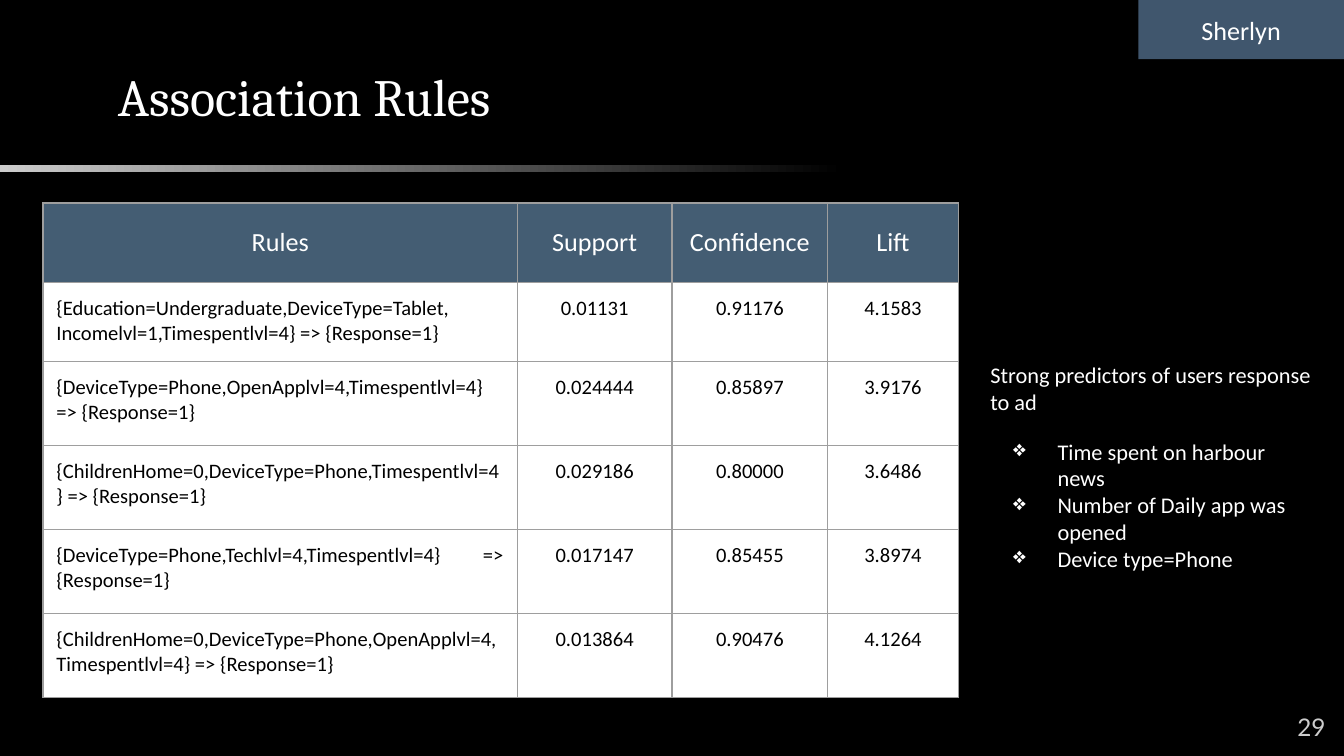
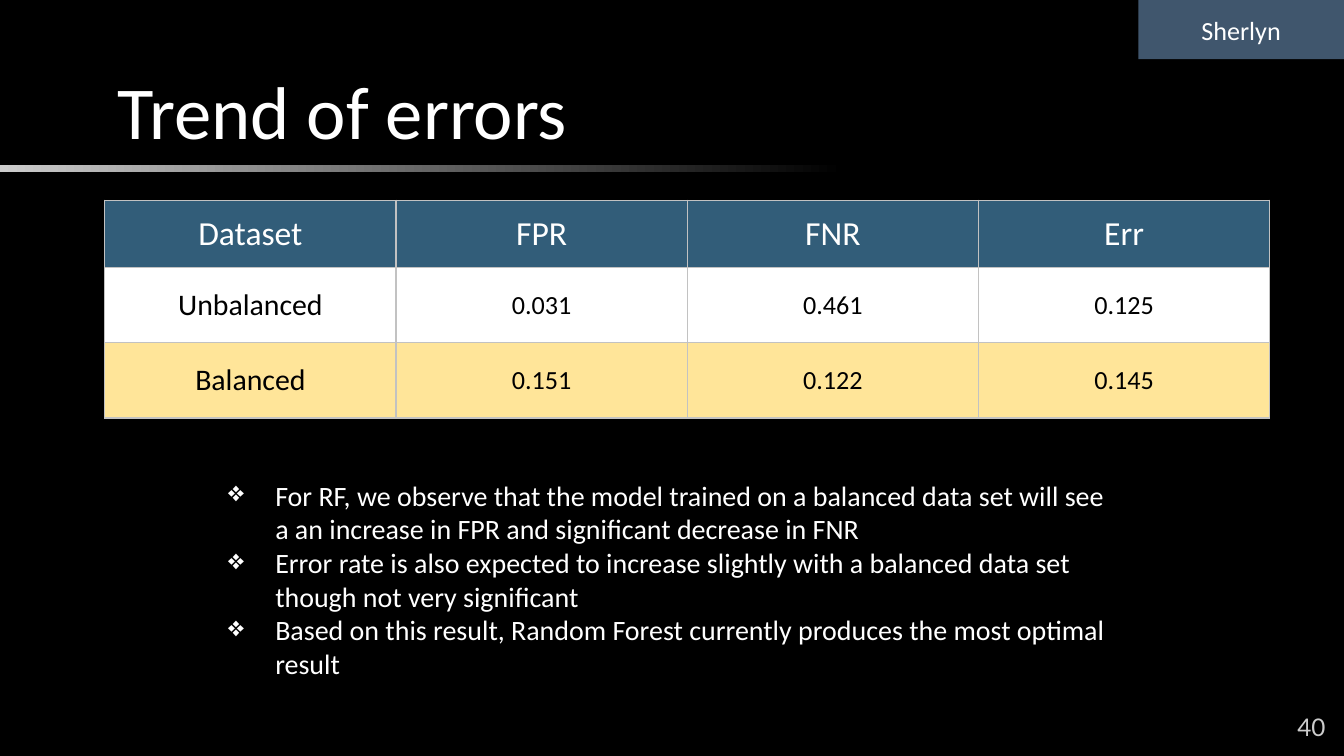
from lxml.etree import SubElement as Sub
from pptx import Presentation
from pptx.dml.color import RGBColor as RGB
from pptx.enum.shapes import MSO_SHAPE as Geo
from pptx.enum.text import MSO_ANCHOR as Anchor, PP_ALIGN as Align
from pptx.oxml.ns import qn
from pptx.util import Inches, Pt

BLACK = RGB(0x00, 0x00, 0x00)
WHITE = RGB(0xFF, 0xFF, 0xFF)
SILVER = RGB(0xCC, 0xCC, 0xCC)
SLATE = RGB(0x40, 0x56, 0x6D)
STEEL = RGB(0x44, 0x5D, 0x73)
TEAL = RGB(0x32, 0x5D, 0x79)
CREAM = RGB(0xFF, 0xE5, 0x99)
GREY = RGB(0x9E, 0x9E, 0x9E)
PALE = RGB(0xC2, 0xC2, 0xC2)

WIDE, HIGH = 100, 56.25
UNIT = Inches(0.1)
BODY = "Calibri"


def span(*cells):
    return [round(n * UNIT) for n in cells]


def write(par, text, size, color=WHITE, font=BODY, align=Align.LEFT):
    par.alignment = align
    run = par.add_run()
    run.text = text
    run.font.size = Pt(size)
    run.font.name = font
    run.font.color.rgb = color


def inset(frame, anchor):
    frame.word_wrap = True
    frame.vertical_anchor = anchor
    frame.margin_left = frame.margin_right = UNIT
    frame.margin_top = frame.margin_bottom = UNIT


def textbox(slide, place, anchor=Anchor.TOP):
    frame = slide.shapes.add_textbox(*span(*place)).text_frame
    inset(frame, anchor)
    return frame


def block(slide, place):
    shape = slide.shapes.add_shape(Geo.RECTANGLE, *span(*place))
    shape.shadow.inherit = False
    shape.line.fill.background()
    return shape


def bullet(par, text, size, hang):
    props = par._p.get_or_add_pPr()
    props.set("marL", str(Inches(0.5)))
    props.set("indent", str(-Inches(hang)))
    tint = Sub(props, qn("a:buClr"))
    Sub(tint, qn("a:srgbClr")).set("val", str(WHITE))
    Sub(props, qn("a:buChar")).set("char", "❖")
    write(par, text, size)


def border(cell, color):
    props = cell._tc.get_or_add_tcPr()
    for side in ("L", "R", "T", "B"):
        line = Sub(props, qn("a:ln" + side))
        line.set("w", str(Pt(0.75)))
        fill = Sub(line, qn("a:solidFill"))
        Sub(fill, qn("a:srgbClr")).set("val", str(color))


def fill_cell(cell, text, size, color, fill, line, align, anchor):
    cell.margin_left = cell.margin_right = UNIT
    cell.margin_top = cell.margin_bottom = UNIT
    cell.vertical_anchor = anchor
    border(cell, line)
    cell.fill.solid()
    cell.fill.fore_color.rgb = fill
    write(cell.text_frame.paragraphs[0], text, size, color, align=align)


def add_grid(slide, left, top, cols, rows, data, fills, line, sizes, first, anchor):
    place = span(left, top, sum(cols), sum(rows))
    table = slide.shapes.add_table(len(rows), len(cols), *place).table
    table.first_row = table.horz_banding = False
    for col, width in zip(table.columns, span(*cols)):
        col.width = width
    for row, height in zip(table.rows, span(*rows)):
        row.height = height
    head, lead, value = sizes
    for r, record in enumerate(data):
        for c, text in enumerate(record):
            top_row = r == 0
            size = head if top_row else value if c else lead
            align = Align.CENTER if top_row or c else first
            fill_cell(table.cell(r, c), text, size, WHITE if top_row else BLACK,
                      fills[r], line, align, Anchor.MIDDLE if top_row else anchor)


def add_base(deck, title, size, font, number):
    slide = deck.slides.add_slide(deck.slide_layouts[6])
    back = slide.background.fill
    back.solid()
    back.fore_color.rgb = BLACK

    fade = block(slide, (0, 12.3, 62.8, 0.5)).fill
    fade.gradient()
    fade.gradient_angle = 0
    for stop, color in zip(fade.gradient_stops, (SILVER, BLACK)):
        stop.color.rgb = color

    frame = textbox(slide, (7.8, 3.8, 84.4, 6.3))
    write(frame.paragraphs[0], title, size, font=font)

    tag = block(slide, (WIDE - 15.3, 0, 15.3, 4.4))
    tag.fill.solid()
    tag.fill.fore_color.rgb = SLATE
    inset(tag.text_frame, Anchor.MIDDLE)
    write(tag.text_frame.paragraphs[0], "Sherlyn", 14, align=Align.CENTER)

    frame = textbox(slide, (93.6, HIGH - 4.3, 6, 4.3), Anchor.MIDDLE)
    write(frame.paragraphs[0], number, 13, SILVER, "Lato", Align.RIGHT)
    return slide


def add_rules(deck):
    slide = add_base(deck, "Association Rules", 28, "Cambria", "29")
    data = [
        ("Rules", "Support", "Confidence", "Lift"),
        ("{Education=Undergraduate,DeviceType=Tablet, Incomelvl=1,Timespentlvl=4} => {Response=1}",
         "0.01131", "0.91176", "4.1583"),
        ("{DeviceType=Phone,OpenApplvl=4,Timespentlvl=4} => {Response=1}",
         "0.024444", "0.85897", "3.9176"),
        ("{ChildrenHome=0,DeviceType=Phone,Timespentlvl=4} => {Response=1}",
         "0.029186", "0.80000", "3.6486"),
        ("{DeviceType=Phone,Techlvl=4,Timespentlvl=4} => {Response=1}",
         "0.017147", "0.85455", "3.8974"),
        ("{ChildrenHome=0,DeviceType=Phone,OpenApplvl=4,Timespentlvl=4} => {Response=1}",
         "0.013864", "0.90476", "4.1264"),
    ]
    add_grid(slide, 3.2, 15.1, (35.3, 11.5, 11.6, 9.7), [5.9] * 2 + [6.25] * 4,
             data, [STEEL] + [WHITE] * 5, GREY, (14, 11, 11), Align.JUSTIFY, Anchor.TOP)

    frame = textbox(slide, (72.7, 25.9, 26.2, 18.5))
    write(frame.paragraphs[0], "Strong predictors of users response to ad", 12)
    frame.paragraphs[0].space_after = Pt(12)
    for text in ("Time spent on harbour news", "Number of Daily app was opened",
                 "Device type=Phone"):
        bullet(frame.add_paragraph(), text, 12, 0.33)


def add_trend(deck):
    slide = add_base(deck, "Trend of errors", 40, BODY, "40")
    data = [
        ("Dataset", "FPR", "FNR", "Err"),
        ("Unbalanced", "0.031", "0.461", "0.125"),
        ("Balanced", "0.151", "0.122", "0.145"),
    ]
    add_grid(slide, 7.8, 14.9, [21.67] * 4, (5, 5.6, 5.6), data,
             (TEAL, WHITE, CREAM), PALE, (18, 16, 14), Align.CENTER, Anchor.MIDDLE)

    frame = textbox(slide, (14.5, 32.1, 69.6, 22), Anchor.MIDDLE)
    notes = (
        "For RF, we observe that the model trained on a balanced data set will see a an increase in FPR and significant decrease in FNR",
        "Error rate is also expected to increase slightly with a balanced data set though not very significant",
        "Based on this result, Random Forest currently produces the most optimal result",
    )
    for i, text in enumerate(notes):
        par = frame.add_paragraph() if i else frame.paragraphs[0]
        bullet(par, text, 15, 0.35)


def main():
    deck = Presentation()
    deck.slide_width, deck.slide_height = span(WIDE, HIGH)
    add_rules(deck)
    add_trend(deck)
    deck.save("out.pptx")


if __name__ == "__main__":
    main()
